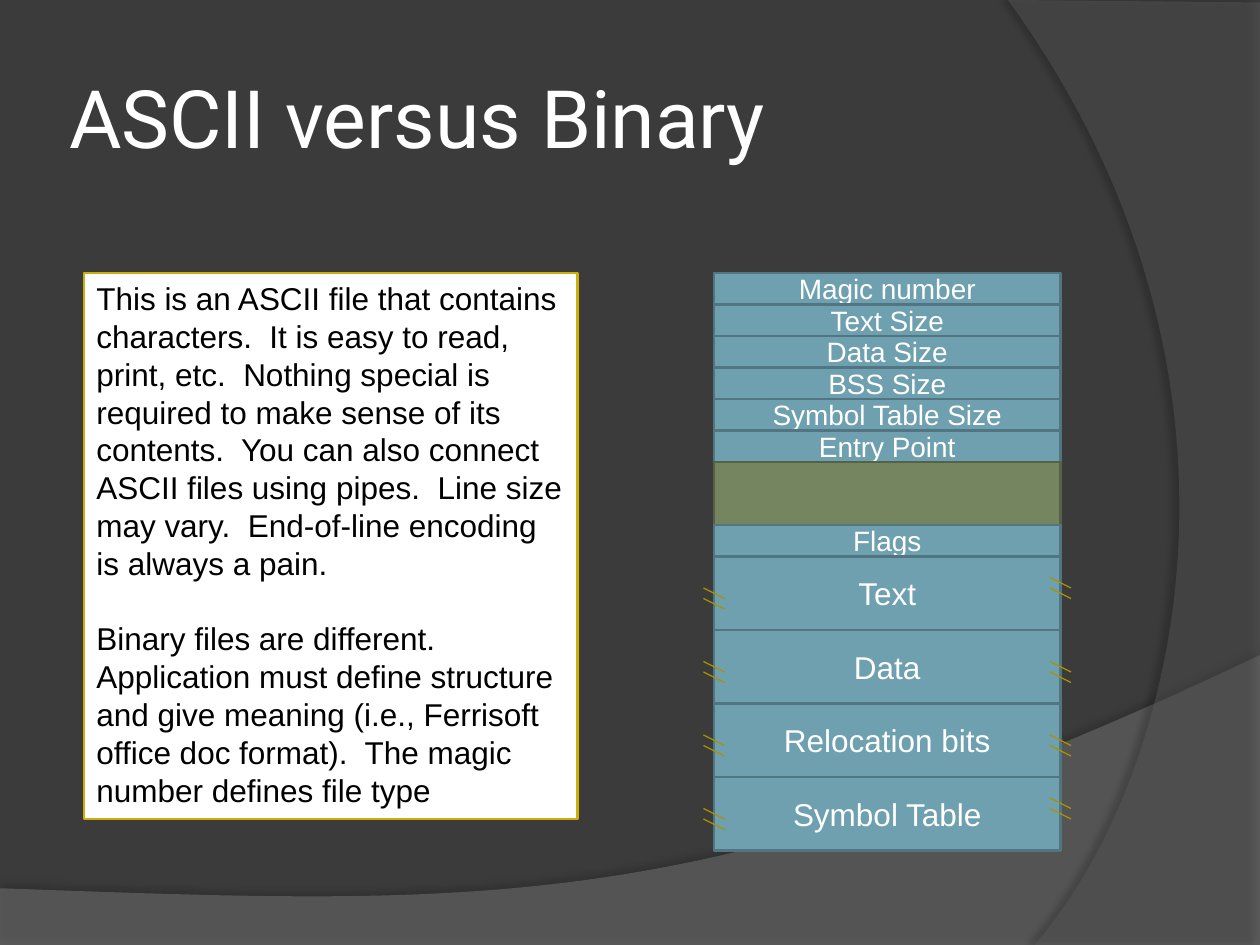
from lxml.etree import SubElement
from pptx import Presentation
from pptx.dml.color import RGBColor
from pptx.enum.shapes import MSO_CONNECTOR, MSO_SHAPE
from pptx.enum.text import MSO_ANCHOR, PP_ALIGN
from pptx.oxml.ns import qn
from pptx.util import Inches, Pt

COLS, ROWS = 120, 90
UNIT = Inches(10) // COLS


def grid(*vals):
    return [round(v * UNIT) for v in vals]


def color(hex_):
    return RGBColor.from_string(hex_)


def add_text(p, text, size, hex_, font="Arial"):
    r = p.add_run()
    r.text = text
    r.font.size = Pt(size)
    r.font.name = font
    r.font.color.rgb = color(hex_)


def add_box(s, box, fill, line):
    sp = s.shapes.add_shape(MSO_SHAPE.RECTANGLE, *grid(*box))
    sp.shadow.inherit = False
    sp.fill.solid()
    sp.fill.fore_color.rgb = color(fill)
    sp.line.color.rgb = color(line)
    sp.line.width = Pt(1.5)
    sp.text_frame.word_wrap = True
    return sp


def bezier(p0, p1, p2, p3, steps=60):
    for i in range(1, steps + 1):
        t = i / steps
        u = 1 - t
        yield tuple(u**3 * a + 3 * u * u * t * b + 3 * u * t * t * c + t**3 * d
                    for a, b, c, d in zip(p0, p1, p2, p3))


def add_sweep(s, points, fill, alpha, shadow_alpha, dist, angle):
    pts = [(Inches(x), Inches(y)) for x, y in points]
    fb = s.shapes.build_freeform(*pts[0])
    fb.add_line_segments(pts[1:])
    sp = fb.convert_to_shape()
    sp.fill.solid()
    sp.fill.fore_color.rgb = color(fill)
    sp.line.fill.background()
    sp.shadow.inherit = False
    pr = sp._element.spPr
    clr = pr.find(qn("a:solidFill")).find(qn("a:srgbClr"))
    SubElement(clr, qn("a:alpha"), val=str(alpha * 1000))
    shadow = SubElement(pr.find(qn("a:effectLst")), qn("a:outerShdw"), blurRad=str(Pt(4)),
                        dist=str(Pt(dist)), dir=str(angle * 60000), algn="ctr", rotWithShape="0")
    clr = SubElement(shadow, qn("a:srgbClr"), val="000000")
    SubElement(clr, qn("a:alpha"), val=str(shadow_alpha * 1000))


def add_backdrop(s):
    s.background.fill.solid()
    s.background.fill.fore_color.rgb = color("3B3B3B")
    wave = bezier((10, 5.2), (5.59, 7.29), (3.91, 7.19), (0, 7.05))
    add_sweep(s, [(0, 7.05), (0, 7.5), (10, 7.5), (10, 5.2), *wave], "7F7F7F", 45, 35, 3.5, 270)
    arc = bezier((8.21, 7.5), (9.35, 6.19), (10.18, 3), (8, 0))
    add_sweep(s, [(10, 0.02), (10, 7.5), (8.21, 7.5), *arc], "5E5E5E", 40, 45, 4, 180)


def add_title(s, box, text):
    tf = s.shapes.add_textbox(*grid(*box)).text_frame
    tf.word_wrap = True
    tf.vertical_anchor = MSO_ANCHOR.MIDDLE
    tf.margin_left = tf.margin_right = Inches(0.05)
    add_text(tf.paragraphs[0], text, 46, "FFFFFF", "Roboto")


def add_note(s, box, paragraphs):
    tf = add_box(s, box, "FFFFFF", "CCAF0A").text_frame
    tf.vertical_anchor = MSO_ANCHOR.TOP
    for i, text in enumerate(paragraphs):
        p = tf.add_paragraph() if i else tf.paragraphs[0]
        p.alignment = PP_ALIGN.LEFT
        p.line_spacing = Pt(21.6)
        p.space_before = Pt(21.6 if i else 0)
        add_text(p, text, 18, "000000")


def add_break(s, x, y):
    for top in (y, y + 1):
        cx = s.shapes.add_connector(MSO_CONNECTOR.STRAIGHT, *grid(x - 1, top, x + 1, top + 1))
        cx.line.color.rgb = color("AB9200")
        cx.line.width = Pt(0.75)
        SubElement(cx._element.spPr, qn("a:effectLst"))


def add_layout(s, left, top, width, fields):
    breaks = []
    for label, height, size, right_drop in fields:
        fill, line = ("6EA0B0", "517682") if label else ("748560", "566247")
        tf = add_box(s, (left, top, width, height), fill, line).text_frame
        if label:
            tf.vertical_anchor = MSO_ANCHOR.MIDDLE
            p = tf.paragraphs[0]
            p.alignment = PP_ALIGN.CENTER
            add_text(p, label, size, "FFFFFF")
        if right_drop:
            breaks += [(left + width, top + right_drop), (left, top + 3)]
        top += height
    for x, y in breaks:
        add_break(s, x, y)


HEADER = ["Magic number", "Text Size", "Data Size", "BSS Size", "Symbol Table Size", "Entry Point"]
BODY = [("Text", 2), ("Data", 3), ("Relocation bits", 3), ("Symbol Table", 2)]
FIELDS = [(name, 3, 16, 0) for name in HEADER]
FIELDS += [("", 6, 16, 0), ("Flags", 3, 16, 0)]
FIELDS += [(name, 7, 18, drop) for name, drop in BODY]

NOTE = [
    "This is an ASCII file that contains characters.  It is easy to read, print, etc.  "
    "Nothing special is required to make sense of its contents.  You can also connect "
    "ASCII files using pipes.  Line size may vary.  End-of-line encoding is always a pain.",
    "Binary files are different.  Application must define structure and give meaning "
    "(i.e., Ferrisoft office doc format).  The magic number defines file type",
]

prs = Presentation()
prs.slide_width, prs.slide_height = grid(COLS, ROWS)
s = prs.slides.add_slide(prs.slide_layouts[6])
add_backdrop(s)
add_title(s, (6, 3.6, 98, 15), "ASCII versus Binary")
add_note(s, (8, 26, 47, 52), NOTE)
add_layout(s, 68, 26, 33, FIELDS)
prs.save("out.pptx")
